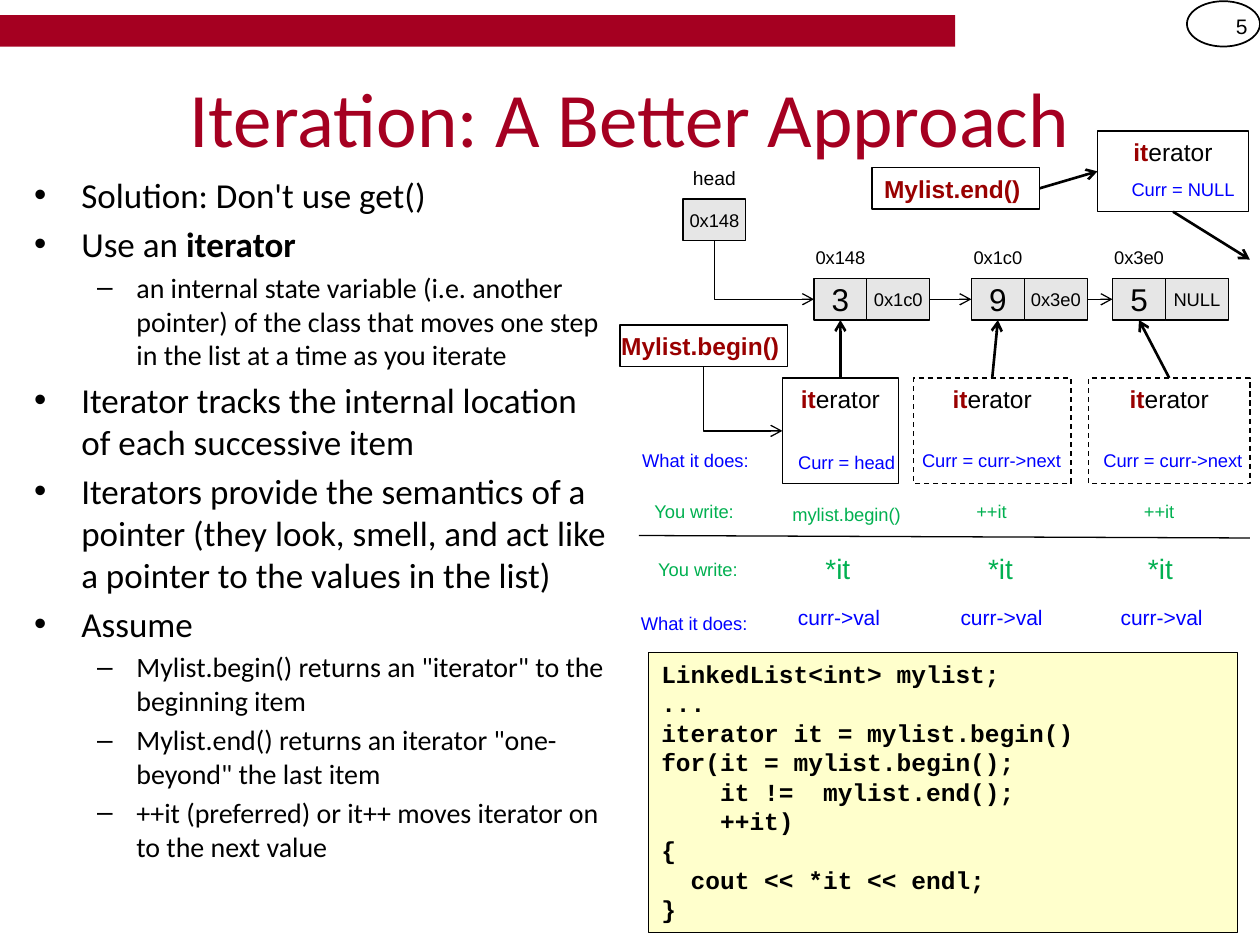
from dataclasses import dataclass

from lxml.etree import SubElement
from pptx import Presentation
from pptx.dml.color import RGBColor
from pptx.enum.dml import MSO_LINE_DASH_STYLE as Dash
from pptx.enum.shapes import MSO_CONNECTOR as Link, MSO_SHAPE as Preset
from pptx.enum.text import MSO_ANCHOR as Anchor, MSO_AUTO_SIZE as AutoSize, PP_ALIGN as Align
from pptx.oxml.ns import qn
from pptx.util import Inches, Pt


@dataclass(frozen=True)
class Theme:
    crimson: str = "A50021"
    accent: str = "990000"
    black: str = "000000"
    white: str = "FFFFFF"
    cell: str = "E6E6E6"
    code: str = "FFFFCC"
    blue: str = "0000FF"
    green: str = "00B050"
    heading: str = "Calibri"
    sans: str = "Arial"
    mono: str = "Courier New"
    title_size: float = 44
    body_sizes: tuple = (20, 16)
    node_size: float = 18
    deref_size: float = 16
    name_size: float = 14
    value_size: float = 12
    head_size: float = 11
    label_size: float = 10.5


THEME = Theme()
TOP, LEFT, BOTTOM, RIGHT = 0, 1, 2, 3
CELL_H = 0.33
NODE_TOP = 2.21

BULLETS = [
    (0, ["Solution: Don't use get()"]),
    (0, ["Use an ", ("iterator", {"bold": True})]),
    (1, ["an internal state variable (i.e. another pointer) of the class "
         "that moves one step in the list at a time as you iterate"]),
    (0, ["Iterator tracks the internal location of each successive item"]),
    (0, ["Iterators provide the semantics of a pointer (they look, smell, "
         "and act like a pointer to the values in the list)"]),
    (0, ["Assume"]),
    (1, ['Mylist.begin() returns an "iterator" to the beginning item']),
    (1, ['Mylist.end() returns an iterator "one-beyond" the last item']),
    (1, ["++it (preferred) or it++ moves iterator on to the next value"]),
]

CODE = """LinkedList<int> mylist;
...
iterator it = mylist.begin()
for(it = mylist.begin();
    it !=  mylist.end();
    ++it)
{
  cout << *it << endl;
}"""

ITERATOR = [("it", {"bold": True, "color": THEME.accent}), "erator"]


def add_text(para, spans, size=THEME.label_size, color=THEME.black,
             font=THEME.sans, bold=False, align=None):
    """Fill a paragraph; a span is a string or a (string, overrides) pair."""
    if align is not None:
        para.alignment = align
    for item in [spans] if isinstance(spans, str) else spans:
        words, changes = (item, {}) if isinstance(item, str) else item
        span = para.add_run()
        span.text = words
        span.font.name = font
        span.font.size = Pt(size)
        span.font.bold = changes.get("bold", bold)
        span.font.color.rgb = RGBColor.from_string(changes.get("color", color))


def place(shape, left, top, width, height):
    shape.left, shape.top = Inches(left), Inches(top)
    shape.width, shape.height = Inches(width), Inches(height)


def set_frame(box, inset=0.0, anchor=Anchor.MIDDLE):
    frame = box.text_frame
    frame.word_wrap = True
    frame.vertical_anchor = anchor
    frame.margin_left = frame.margin_right = Inches(inset)
    return frame


def add_label(slide, text, at, inset=0.0, align=Align.CENTER, **style):
    box = slide.shapes.add_textbox(*map(Inches, at))
    add_text(set_frame(box, inset).paragraphs[0], text, align=align, **style)


def add_box(slide, at, fill=THEME.white, line=THEME.black, weight=0.75,
            dashed=False, preset=Preset.RECTANGLE):
    box = slide.shapes.add_shape(preset, *map(Inches, at))
    box.shadow.inherit = False
    if fill:
        box.fill.solid()
        box.fill.fore_color.rgb = RGBColor.from_string(fill)
    else:
        box.fill.background()
    if line:
        box.line.color.rgb = RGBColor.from_string(line)
        box.line.width = Pt(weight)
        if dashed:
            box.line.dash_style = Dash.DASH
    else:
        box.line.fill.background()
    return box


def add_text_box(slide, text, at, fill=THEME.white, dashed=False, inset=0.0,
                 anchor=Anchor.MIDDLE, **style):
    box = add_box(slide, at, fill=fill, dashed=dashed)
    frame = set_frame(box, inset, anchor)
    add_text(frame.paragraphs[0], text, align=Align.CENTER, **style)
    return box


def add_iterator(slide, at, dashed=False):
    return add_text_box(slide, ITERATOR, at, dashed=dashed, anchor=Anchor.TOP,
                        size=THEME.name_size)


def turn_down_then_right(line):
    """Give the connector one corner, leaving downwards and arriving rightwards."""
    left, top, across, down = line.left, line.top, line.width, line.height
    line.left, line.top = left + (across - down) // 2, top + (down - across) // 2
    line.width, line.height = down, across
    props = line._element.spPr
    props.find(qn("a:prstGeom")).set("prst", "bentConnector2")
    frame = props.find(qn("a:xfrm"))
    frame.set("rot", "16200000")
    frame.set("flipH", "1")


def add_link(slide, start, end, kind=Link.STRAIGHT, weight=1.5, arrow=True, corner=False):
    """Join two ends, each a (shape, side) pair or an (x, y) point in inches."""
    line = slide.shapes.add_connector(kind, 0, 0, 0, 0)
    if isinstance(start[0], float):
        line.begin_x, line.begin_y = map(Inches, start)
    else:
        line.begin_connect(*start)
    if isinstance(end[0], float):
        line.end_x, line.end_y = map(Inches, end)
    else:
        line.end_connect(*end)
    if corner:
        turn_down_then_right(line)
    line.line.color.rgb = RGBColor.from_string(THEME.black)
    line.line.width = Pt(weight)
    props = line._element.spPr
    if arrow:
        SubElement(props.find(qn("a:ln")), qn("a:tailEnd"), type="arrow")
    SubElement(props, qn("a:effectLst"))


def add_header(slide):
    add_box(slide, (0, 0.12, 7.58, 0.25), fill=THEME.crimson, line=None)
    add_box(slide, (9.42, 0.01, 0.58, 0.36), fill=None, weight=1, preset=Preset.OVAL)
    add_label(slide, "5", (9.42, 0.01, 0.58, 0.4), inset=0.1, align=Align.RIGHT,
              size=THEME.value_size)


def fill_placeholders(slide):
    title, body = slide.placeholders
    place(title, 0.5, 0.3, 9, 1.25)
    add_text(title.text_frame.paragraphs[0], "Iteration: A Better Approach",
             size=THEME.title_size, color=THEME.crimson, font=THEME.heading)
    place(body, 0.17, 1.33, 4.75, 5.67)
    frame = body.text_frame
    frame.auto_size = AutoSize.NONE
    for index, (level, spans) in enumerate(BULLETS):
        para = frame.add_paragraph() if index else frame.paragraphs[0]
        para.level = level
        add_text(para, spans, size=THEME.body_sizes[level], font=THEME.heading)


def add_code(slide):
    box = add_box(slide, (5.15, 5.18, 4.67, 2.22), fill=THEME.code)
    frame = set_frame(box, 0.1, Anchor.TOP)
    for index, row in enumerate(CODE.splitlines()):
        para = frame.add_paragraph() if index else frame.paragraphs[0]
        add_text(para, row, size=THEME.name_size, font=THEME.mono, bold=True, align=Align.LEFT)


def add_node(slide, left, address, value, following):
    add_label(slide, address, (left, NODE_TOP - CELL_H, 0.42, CELL_H))
    item = add_text_box(slide, value, (left, NODE_TOP, 0.42, CELL_H), fill=THEME.cell,
                        inset=0.1, size=THEME.node_size)
    pointer = add_text_box(slide, following, (left + 0.42, NODE_TOP, 0.5, CELL_H),
                           fill=THEME.cell)
    return item, pointer


def add_list_diagram(slide):
    add_label(slide, "head", (5.42, 1.25, 0.5, CELL_H), size=THEME.head_size)
    head = add_text_box(slide, "0x148", (5.42, 1.58, 0.5, CELL_H), fill=THEME.cell)
    nodes = [add_node(slide, *node) for node in (
        (6.46, "0x148", "3", "0x1c0"),
        (7.71, "0x1c0", "9", "0x3e0"),
        (8.83, "0x3e0", "5", "NULL"))]
    iterators = [add_iterator(slide, (left, 3, width, 0.84), dashed)
                 for left, width, dashed in ((6.21, 0.92, False), (7.25, 1.25, True),
                                             (8.64, 1.28, True))]
    past_end = add_iterator(slide, (8.71, 1.04, 1.2, 0.64))
    begin, end = [
        add_text_box(slide, call, (left, top, 1.33, CELL_H), size=THEME.name_size,
                     color=THEME.accent, bold=True)
        for call, left, top in (("Mylist.begin() ", 4.92, 2.58), ("Mylist.end() ", 6.92, 1.33))]

    for source, target in ((head, nodes[0][0]), (begin, iterators[0])):
        add_link(slide, (source, BOTTOM), (target, LEFT), Link.ELBOW, 0.75, corner=True)
    for (_, pointer), (item, _) in zip(nodes, nodes[1:]):
        add_link(slide, (pointer, RIGHT), (item, LEFT), Link.ELBOW, 0.75)
    for iterator, (item, _) in zip(iterators, nodes):
        add_link(slide, (iterator, TOP), (item, BOTTOM))
    add_link(slide, (end, RIGHT), (past_end, LEFT))
    add_link(slide, (past_end, BOTTOM), (9.92, 2.06))


def add_usage_rows(slide):
    label, deref, value = THEME.label_size, THEME.deref_size, THEME.value_size
    rows = [
        (THEME.blue, label, [("What it does:", 5.52, 3.65), ("Curr = head", 6.72, 3.67),
                             ("Curr = curr->next", 7.87, 3.65),
                             ("Curr = curr->next", 9.31, 3.65), ("Curr = NULL", 9.39, 1.5)]),
        (THEME.green, label, [("You write:", 5.51, 4.06), ("mylist.begin()", 6.72, 4.08),
                              ("++it", 7.87, 4.06), ("++it", 9.2, 4.06),
                              ("You write:", 5.54, 4.52)]),
        (THEME.green, deref, [("*it", x, 4.51) for x in (6.65, 7.94, 9.21)]),
        (THEME.blue, label, [("What it does:", 5.51, 4.95)]),
        (THEME.blue, value, [("curr->val", x, 4.9) for x in (6.66, 7.95, 9.22)]),
    ]
    for color, size, labels in rows:
        for text, center, middle in labels:
            at = (center - 0.6, middle - CELL_H / 2, 1.2, CELL_H)
            add_label(slide, text, at, size=size, color=color)
    add_link(slide, (5.07, 4.25), (9.92, 4.27), weight=0.75, arrow=False)


def main():
    deck = Presentation()
    deck.slide_width, deck.slide_height = Inches(10), Inches(7.5)
    slide = deck.slides.add_slide(deck.slide_layouts[1])
    add_header(slide)
    fill_placeholders(slide)
    add_code(slide)
    add_list_diagram(slide)
    add_usage_rows(slide)
    deck.save("out.pptx")


if __name__ == "__main__":
    main()
